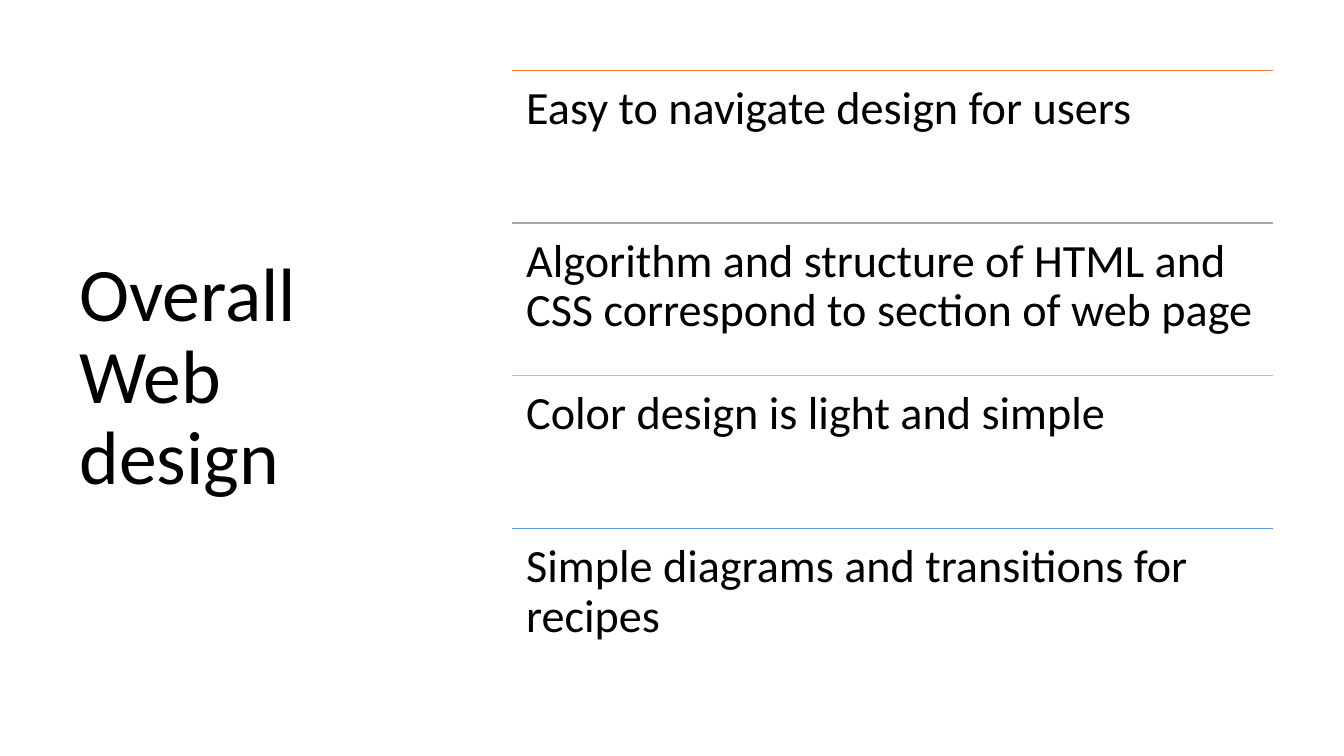
"""Build the slide on overall web design."""
from dataclasses import dataclass

from lxml.etree import SubElement
from pptx import Presentation
from pptx.dml.color import RGBColor
from pptx.enum.shapes import MSO_CONNECTOR
from pptx.enum.text import MSO_ANCHOR
from pptx.oxml.ns import qn
from pptx.util import Pt


@dataclass(frozen=True)
class Theme:
    """Colours, font and type sizes of the slide."""
    ink: str = "000000"
    rules: tuple = ("ED7D31", "A5A5A5", "FFC000", "5B9BD5")
    font: str = "Calibri"
    title_size: int = 54
    point_size: int = 33
    line_spacing: float = 0.9


class SlideBuilder:
    """Holds the theme and the current slide."""

    def __init__(self, slide, theme):
        """Keep the slide and its theme."""
        self.slide = slide
        self.theme = theme

    def text(self, wording, left, top, width, height, size, **frame_format):
        """Add a wrapped text box in the theme's font."""
        box = self.slide.shapes.add_textbox(Pt(left), Pt(top), Pt(width), Pt(height))
        frame = box.text_frame
        for name, value in {"word_wrap": True, **frame_format}.items():
            setattr(frame, name, value)
        paragraph = frame.paragraphs[0]
        paragraph.line_spacing = self.theme.line_spacing
        run = paragraph.add_run()
        run.text = wording
        for name, value in {"name": self.theme.font, "size": Pt(size)}.items():
            setattr(run.font, name, value)
        run.font.color.rgb = RGBColor.from_string(self.theme.ink)

    def rule(self, left, top, width, color):
        """Add a thin horizontal line without a shadow."""
        line = self.slide.shapes.add_connector(
            MSO_CONNECTOR.STRAIGHT, Pt(left), Pt(top), Pt(left + width), Pt(top))
        line.line.color.rgb = RGBColor.from_string(color)
        line.line.width = Pt(1)
        SubElement(line._element.spPr, qn("a:effectLst"))


def main():
    """Create the presentation and save it."""
    presentation = Presentation()
    for name, value in {"slide_width": Pt(960), "slide_height": Pt(540)}.items():
        setattr(presentation, name, value)
    theme = Theme()
    builder = SlideBuilder(
        presentation.slides.add_slide(presentation.slide_layouts[6]), theme)

    top = 50.4
    builder.text("Overall Web design", 49.7, top, 269.3, 440, theme.title_size,
                 vertical_anchor=MSO_ANCHOR.MIDDLE, margin_right=Pt(20))

    design_points = (
        "Easy to navigate design for users",
        "Algorithm and structure of HTML and CSS correspond to section of web page",
        "Color design is light and simple",
        "Simple diagrams and transitions for recipes",
    )
    left, width, pitch = 365.8, 543.6, 109
    margins = {f"margin_{side}": Pt(10) for side in ("left", "top", "right", "bottom")}
    for index, (point, color) in enumerate(zip(design_points, theme.rules)):
        point_top = top + index * pitch
        builder.rule(left, point_top, width, color)
        builder.text(point, left, point_top, width, pitch, theme.point_size, **margins)

    presentation.save("out.pptx")


if __name__ == "__main__":
    main()
